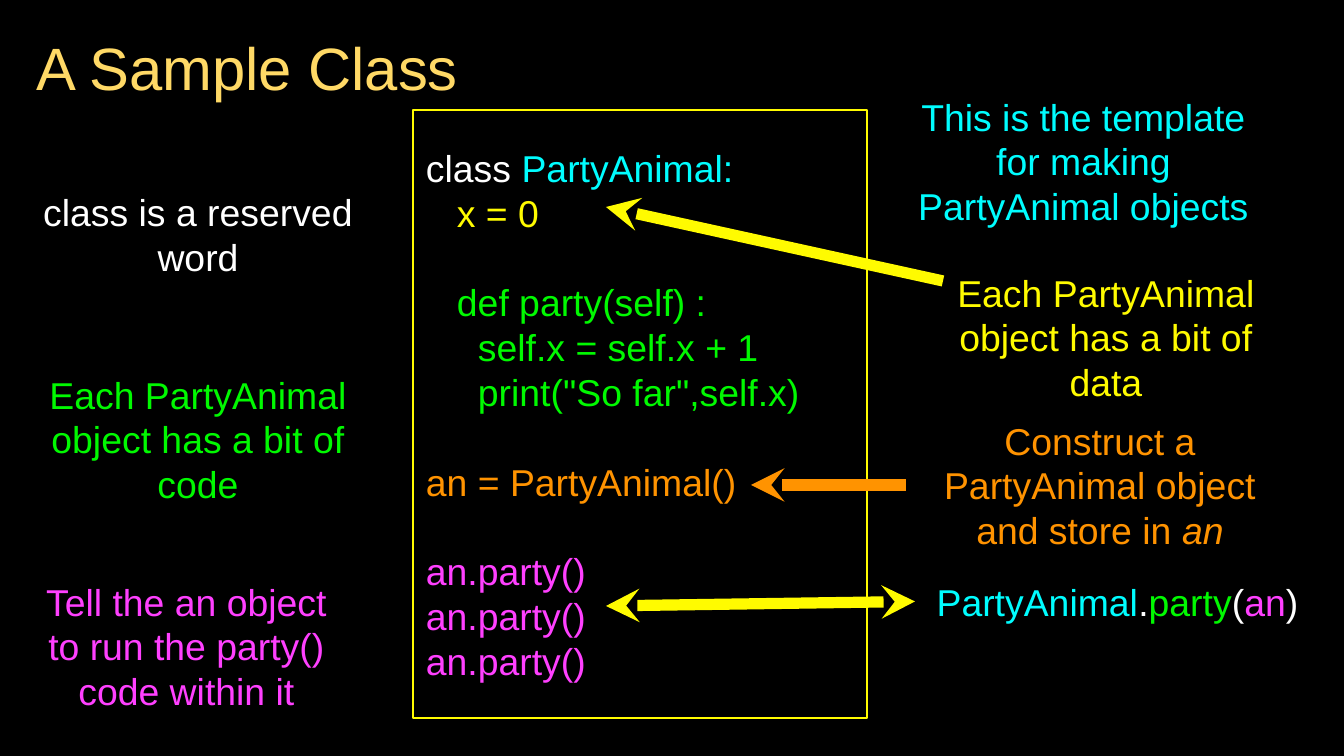
from dataclasses import dataclass
from lxml.etree import SubElement
from pptx import Presentation
from pptx.dml.color import RGBColor
from pptx.enum.shapes import MSO_CONNECTOR, MSO_SHAPE
from pptx.enum.text import MSO_ANCHOR, MSO_AUTO_SIZE, PP_ALIGN
from pptx.oxml.ns import qn
from pptx.util import Emu, Pt


@dataclass(frozen=True)
class Theme:
    black: str = "000000"
    white: str = "FFFFFF"
    cyan: str = "00FDFF"
    yellow: str = "FFFB00"
    green: str = "00F900"
    orange: str = "FF9300"
    pink: str = "FF40FF"
    gold: str = "FFD966"
    font: str = "Arial"
    body: int = 20
    title: int = 32


def px(n):
    return Emu(round(n * 914400 / 134.4))


def color(name):
    return RGBColor.from_string(name)


class Deck:
    def __init__(self, theme):
        self.theme = theme
        self.show = Presentation()
        self.show.slide_width, self.show.slide_height = px(1344), px(756)
        self.slide = self.show.slides.add_slide(self.show.slide_layouts[6])
        fill = self.slide.background.fill
        fill.solid()
        fill.fore_color.rgb = color(theme.black)

    def words(self, para, runs, size):
        para.line_spacing = Pt(size * 1.2)
        for text, tint, *slant in runs:
            run = para.add_run()
            run.text = text
            font = run.font
            font.name, font.size = self.theme.font, Pt(size)
            font.color.rgb = color(tint)
            if slant:
                font.italic = True

    def frame(self, shape):
        frame = shape.text_frame
        frame.word_wrap = True
        frame.vertical_anchor = MSO_ANCHOR.MIDDLE
        frame.margin_left = frame.margin_right = px(3)
        frame.margin_top = frame.margin_bottom = px(3)
        return frame

    def title(self, area, text):
        box = self.slide.shapes.add_textbox(*map(px, area))
        frame = box.text_frame
        frame.word_wrap = False
        frame.auto_size = MSO_AUTO_SIZE.SHAPE_TO_FIT_TEXT
        self.words(frame.paragraphs[0], [(text, self.theme.gold)], self.theme.title)

    def note(self, area, *runs):
        box = self.slide.shapes.add_textbox(*map(px, area))
        para = self.frame(box).paragraphs[0]
        para.alignment = PP_ALIGN.CENTER
        self.words(para, runs, self.theme.body)
        return box

    def code(self, area, lines):
        panel = self.slide.shapes.add_shape(MSO_SHAPE.RECTANGLE, *map(px, area))
        panel.shadow.inherit = False
        panel.fill.background()
        panel.line.color.rgb = color(self.theme.yellow)
        panel.line.width = Pt(1)
        frame = self.frame(panel)
        for i, (dent, gap, runs) in enumerate(lines):
            para = frame.add_paragraph() if i else frame.paragraphs[0]
            para.alignment = PP_ALIGN.LEFT
            para.space_before = Pt(gap)
            para._p.get_or_add_pPr().set("marL", str(px(dent)))
            self.words(para, runs, self.theme.body)

    def arrow(self, start, end, tint, both=False, join=None):
        line = self.slide.shapes.add_connector(
            MSO_CONNECTOR.STRAIGHT, *map(px, start + end))
        if join is not None:
            line.end_connect(join, 1)
        line.line.color.rgb = color(tint)
        line.line.width = Pt(6)
        stroke = line.line._get_or_add_ln()
        for tip in ("a:headEnd", "a:tailEnd")[:1 + both]:
            SubElement(stroke, qn(tip), type="stealth")
        SubElement(line._element.spPr, qn("a:effectLst"))


def main():
    t = Theme()
    deck = Deck(t)
    deck.title((23, 24, 456, 86), "A Sample Class")
    deck.code((413, 110, 454, 608), [
        (10, 0, [("class ", t.white), ("PartyAnimal:", t.cyan)]),
        (41, 0, [("x = 0", t.yellow)]),
        (41, 24, [("def party(self) :", t.green)]),
        (62, 0, [("self.x = self.x + 1", t.green)]),
        (62, 0, [('print("So far",self.x)', t.green)]),
        (10, 24, [("an = PartyAnimal()", t.orange)]),
        (10, 24, [("an.party()", t.pink)]),
        *[(10, 0, [("an.party()", t.pink)])] * 2,
    ])

    deck.note((4, 185, 388, 98), ("class is a reserved word", t.white))
    deck.note((4, 367, 388, 144),
              ("Each PartyAnimal object has a bit of code", t.green))
    deck.note((36, 574, 301, 144),
              ("Tell the an object to run the party() code within it", t.pink))

    deck.note((906, 85, 355, 152),
              ("This is the template for making PartyAnimal objects", t.cyan))
    deck.note((919, 265, 374, 144),
              ("Each PartyAnimal object has a bit of data", t.yellow))
    build = deck.note((906, 419, 388, 132),
                      ("Construct a PartyAnimal object and store in ", t.orange),
                      ("an", t.orange, True))
    call = deck.note((915, 574, 405, 55),
                     ("PartyAnimal", t.cyan), (".", t.white), ("party", t.green),
                     ("(", t.white), ("an", t.pink), (")", t.white))

    deck.arrow((606, 207), (943, 281), t.yellow)
    deck.arrow((751, 485), (906, 485), t.orange, join=build)
    deck.arrow((606, 606), (915, 602), t.yellow, both=True, join=call)
    deck.show.save("out.pptx")


if __name__ == "__main__":
    main()
